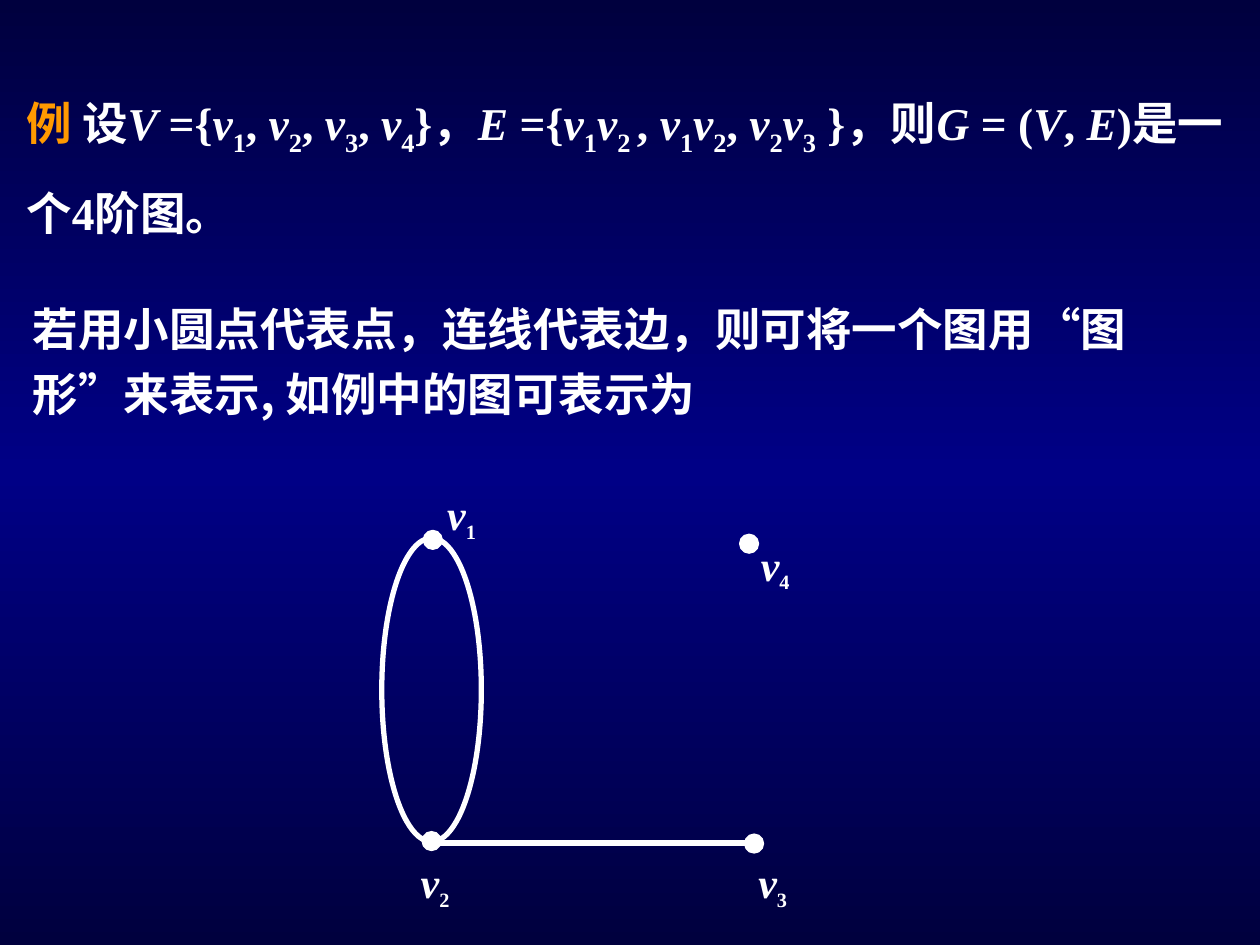
"""Build the slide that defines an example graph and draws it with dots and lines."""
import copy
from typing import Any, NamedTuple

import lxml.etree
import pptx
import pptx.dml.color
import pptx.enum.shapes
import pptx.oxml.ns
import pptx.slide
import pptx.text.text
import pptx.util
from pptx.util import Inches

COLORS = {"edge": "00003E", "middle": "000086", "text": "FFFFFF", "accent": "FF9900"}
CJK, LATIN = "Noto Sans CJK SC", "Times New Roman"
DOT_SIZE = 0.15


class Run(NamedTuple):
    text: str
    font: str = LATIN
    italic: bool = False
    subscript: bool = False
    color: str = "text"


class Box(NamedTuple):
    left: float
    top: float
    width: float
    height: float


class Vertex(NamedTuple):
    number: str
    dot_left: float
    dot_top: float
    label: Box


VERTICES = [
    Vertex("1", 3.36, 4.21, Box(3.45, 3.83, 0.65, 0.54)),
    Vertex("2", 3.35, 6.6, Box(3.24, 6.75, 0.65, 0.54)),
    Vertex("3", 5.91, 6.62, Box(5.92, 6.75, 0.65, 0.54)),
    Vertex("4", 5.87, 4.24, Box(5.94, 4.23, 0.47, 0.54)),
]


def cjk(text: str, color: str = "text") -> Run:
    """Return a run of Chinese text."""
    return Run(text, CJK, color=color)


def italic(text: str) -> Run:
    """Return a run of italic mathematics."""
    return Run(text, italic=True)


def vertices(numbers: str) -> list[Run]:
    """Return the symbols of adjacent vertices, one for each digit."""
    return [run for number in numbers for run in (italic("v"), Run(number, subscript=True))]


def joined(groups: list[str]) -> list[Run]:
    """Return vertex groups separated by commas."""
    runs = vertices(groups[0])
    for group in groups[1:]:
        runs += [Run(", "), *vertices(group)]
    return runs


def rgb(name: str) -> pptx.dml.color.RGBColor:
    """Return a palette colour."""
    return pptx.dml.color.RGBColor.from_string(COLORS[name])


def set_attributes(target: Any, values: dict[str, Any]) -> None:
    """Set each named value on the target."""
    for name, value in values.items():
        setattr(target, name, value)


def add_run(paragraph: pptx.text.text._Paragraph, content: Run, size: float) -> None:
    """Append a formatted run to the paragraph."""
    run = paragraph.add_run()
    run.text = content.text
    set_attributes(run.font, {"name": content.font, "size": pptx.util.Pt(size),
                              "bold": True, "italic": content.italic})
    run.font.color.rgb = rgb(content.color)
    properties = run._r.get_or_add_rPr()
    lxml.etree.SubElement(properties, pptx.oxml.ns.qn("a:ea"), typeface=CJK)
    if content.subscript:
        properties.set("baseline", "-25000")


def add_text(slide: pptx.slide.Slide, box: Box, runs: list[Run], size: float,
             subscript_size: float, line_spacing: float = 1.0) -> None:
    """Add a wrapped text box with one paragraph."""
    shape = slide.shapes.add_textbox(*map(Inches, box))
    shape.text_frame.word_wrap = True
    paragraph = shape.text_frame.paragraphs[0]
    paragraph.line_spacing = line_spacing
    for content in runs:
        add_run(paragraph, content, subscript_size if content.subscript else size)


def add_ellipse(slide: pptx.slide.Slide, box: Box, line_width: float, filled: bool) -> None:
    """Add a white ellipse, either filled or as an outline."""
    shape = slide.shapes.add_shape(pptx.enum.shapes.MSO_SHAPE.OVAL, *map(Inches, box))
    shape.shadow.inherit = False
    if filled:
        shape.fill.solid()
        shape.fill.fore_color.rgb = rgb("text")
    else:
        shape.fill.background()
    shape.line.color.rgb = rgb("text")
    shape.line.width = pptx.util.Pt(line_width)


def add_edge(slide: pptx.slide.Slide, start: tuple[float, float], end: tuple[float, float]) -> None:
    """Add a straight edge of the graph."""
    connector = slide.shapes.add_connector(
        pptx.enum.shapes.MSO_CONNECTOR.STRAIGHT, *map(Inches, start + end))
    connector.line.color.rgb = rgb("text")
    connector.line.width = pptx.util.Pt(3)
    lxml.etree.SubElement(connector._element.spPr, pptx.oxml.ns.qn("a:effectLst"))


def set_background(slide: pptx.slide.Slide) -> None:
    """Fill the background from dark to blue and back to dark."""
    fill = slide.background.fill
    fill.gradient()
    fill.gradient_angle = 270
    stop_list = slide.element.find(".//" + pptx.oxml.ns.qn("a:gsLst"))
    stop_list.append(copy.deepcopy(stop_list[0]))
    for stop, name, position in zip(fill.gradient_stops, ("edge", "middle", "edge"), (0, 0.5, 1)):
        stop.color.rgb = rgb(name)
        stop.position = position


def main() -> None:
    """Build and save the presentation."""
    presentation = pptx.Presentation()
    set_attributes(presentation, {"slide_width": Inches(10), "slide_height": Inches(7.5)})
    slide = presentation.slides.add_slide(presentation.slide_layouts[6])
    set_background(slide)

    example = [
        cjk("例 ", "accent"), cjk("设"), italic("V "), Run("={"), *joined(["1", "2", "3", "4"]),
        Run("}"), cjk("，"), italic("E"), Run(" ={"), *vertices("12"), Run(" ", subscript=True),
        Run(", "), *joined(["12", "23"]), Run(" }"), cjk("，则"), italic("G "), Run("= ("),
        italic("V"), Run(", "), italic("E"), Run(")"), cjk("是一个"), Run("4"), cjk("阶图。"),
    ]
    explanation = [
        cjk("若用小圆点代表点，连线代表边，则可将一个图用"), Run("“"), cjk("图形"), Run("”"),
        cjk("来表示, 如例中的图可表示为"),
    ]
    add_text(slide, Box(0.11, 0.46, 9.8, 1.49), example, 26, 26, 1.5)
    add_text(slide, Box(0.16, 2.25, 9.72, 1.14), explanation, 26, 26, 1.2)

    add_ellipse(slide, Box(3.03, 4.27, 0.79, 2.41), 3, False)
    add_edge(slide, (3.42, 6.69), (5.98, 6.69))
    for vertex in VERTICES:
        dot = Box(vertex.dot_left, vertex.dot_top, DOT_SIZE, DOT_SIZE)
        add_ellipse(slide, dot, 0.75, True)
        add_text(slide, vertex.label, vertices(vertex.number), 24, 20)

    presentation.save("out.pptx")


if __name__ == "__main__":
    main()
